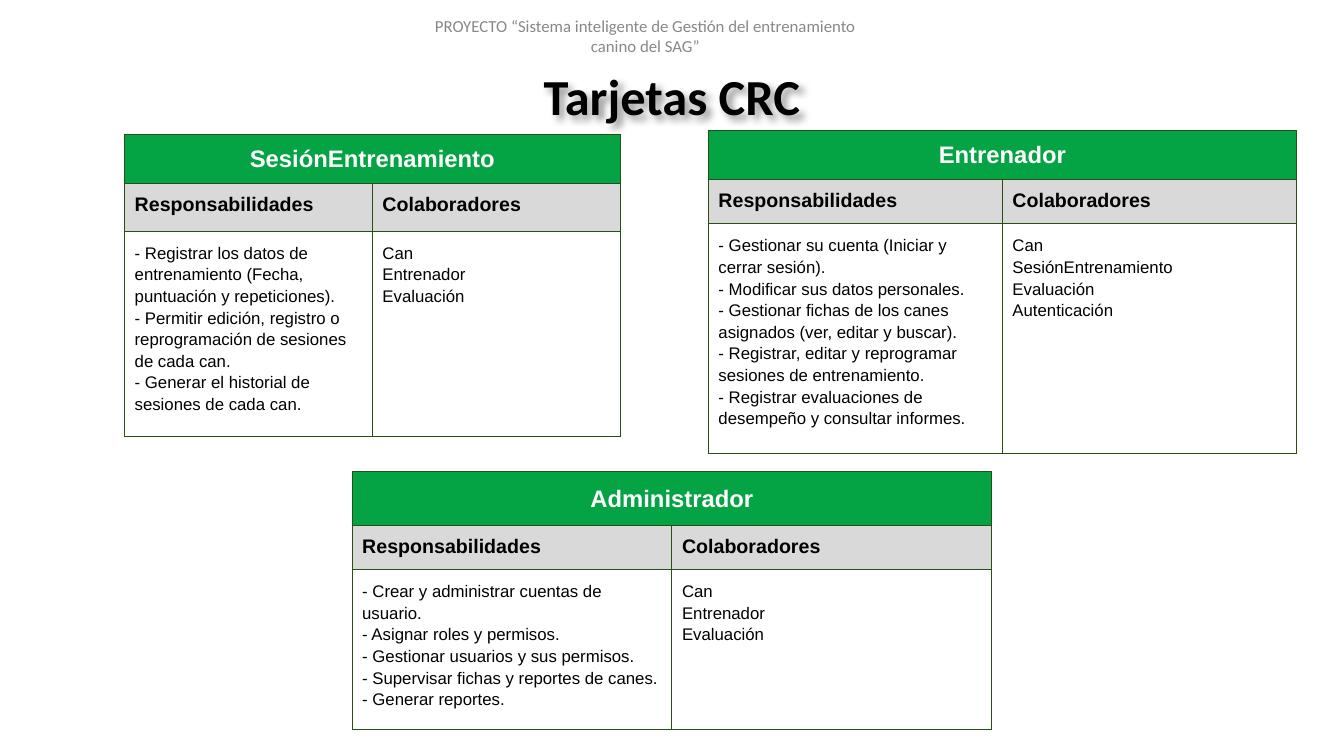
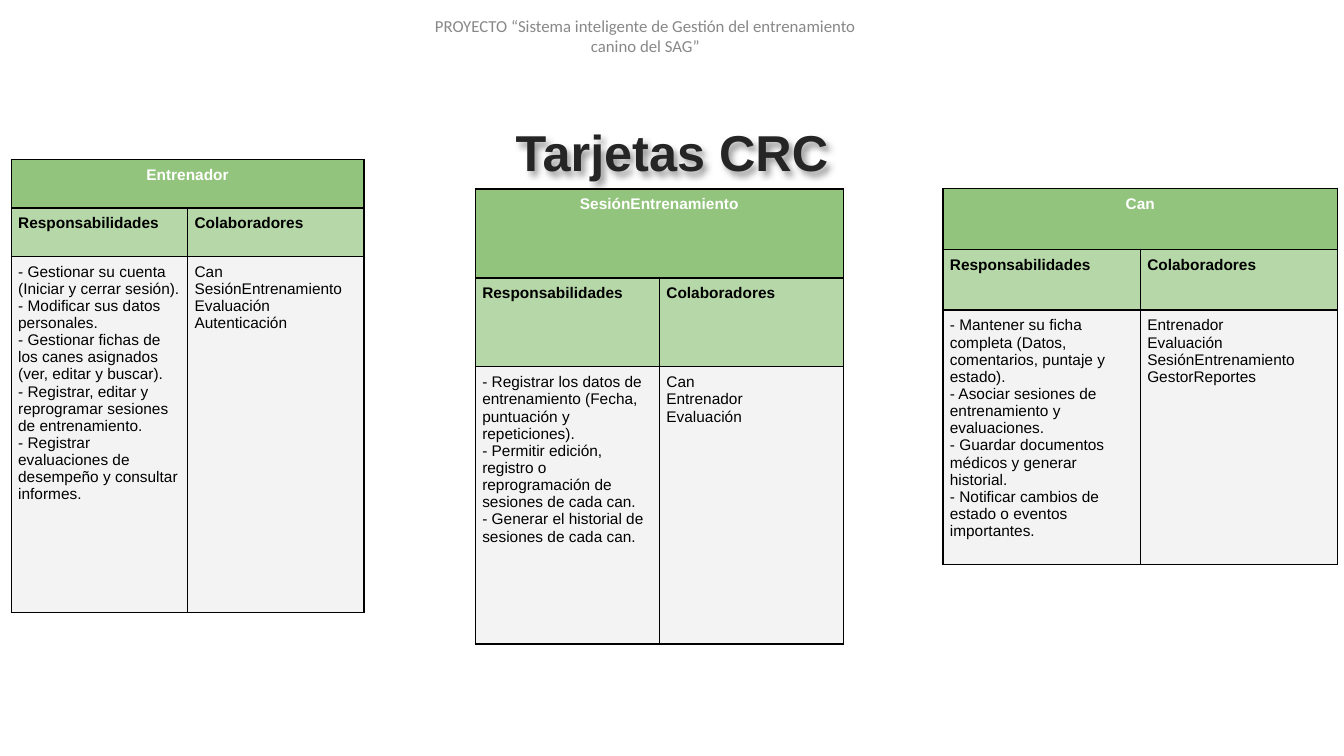
from pptx import Presentation
from pptx.dml.color import RGBColor
from pptx.enum import text
from pptx.oxml import parse_xml
from pptx.oxml.ns import nsdecls
from pptx.util import Pt

SLIDE_WIDTH, SLIDE_HEIGHT = 960, 540
PROJECT = "PROYECTO “Sistema inteligente de Gestión del entrenamiento canino del SAG”"
TITLE = "Tarjetas CRC"
COLUMN_HEADS = ("Responsabilidades", "Colaboradores")

SESSION = (
    "SesiónEntrenamiento",
    ["- Registrar los datos de entrenamiento (Fecha, puntuación y repeticiones).",
     "- Permitir edición, registro o reprogramación de sesiones de cada can.",
     "- Generar el historial de sesiones de cada can."],
    ["Can", "Entrenador", "Evaluación"],
)
TRAINER = (
    "Entrenador",
    ["- Gestionar su cuenta (Iniciar y cerrar sesión).",
     "- Modificar sus datos personales.",
     "- Gestionar fichas de los canes asignados (ver, editar y buscar).",
     "- Registrar, editar y reprogramar sesiones de entrenamiento.",
     "- Registrar evaluaciones de desempeño y consultar informes."],
    ["Can", "SesiónEntrenamiento", "Evaluación", "Autenticación"],
)
ADMINISTRATOR = (
    "Administrador",
    ["- Crear y administrar cuentas de usuario.",
     "- Asignar roles y permisos.",
     "- Gestionar usuarios y sus permisos.",
     "- Supervisar fichas y reportes de canes.",
     "- Generar reportes."],
    ["Can", "Entrenador", "Evaluación"],
)
DOG = (
    "Can",
    ["- Mantener su ficha completa (Datos, comentarios, puntaje y estado).",
     "- Asociar sesiones de entrenamiento y evaluaciones.",
     "- Guardar documentos médicos y generar historial.",
     "- Notificar cambios de estado o eventos importantes."],
    ["Entrenador", "Evaluación", "SesiónEntrenamiento", "GestorReportes"],
)

# Fills and sizes run from the name row to the column heads and the body.
STRONG = dict(fills=("04A444", "D9D9D9", None), sizes=(17, 14, 12), border="274E13",
              border_width=0.75, inset=7.2, spacing=1.15, name_anchor=text.MSO_ANCHOR.MIDDLE)
SOFT = dict(fills=("93C47D", "B6D7A8", "F3F3F3"), sizes=(11, 11, 11), border="000000",
            border_width=1, inset=5, spacing=1, name_anchor=text.MSO_ANCHOR.TOP)

# Each card: content, left, top, width, row heights.
SLIDES = [
    dict(title=dict(top=43, height=51, font="Calibri", color="000000", spacing=1,
                    anchor=text.MSO_ANCHOR.TOP),
         style=STRONG,
         cards=[(SESSION, 89, 96, 354, (35, 34, 146)),
                (TRAINER, 506, 93.5, 420, (35, 31, 164.5)),
                (ADMINISTRATOR, 251.5, 337, 457, (38.5, 31, 114))]),
    dict(title=dict(top=57, height=98.5, font="Arial", color="252525", spacing=1.09,
                    anchor=text.MSO_ANCHOR.MIDDLE),
         style=SOFT,
         cards=[(TRAINER, 8, 114, 252, (34.5, 34.5, 254.5)),
                (DOG, 673.5, 134.5, 282, (43.5, 43.5, 169)),
                (SESSION, 339.5, 135, 263, (63.5, 63.5, 198))]),
]


def rgb(color):
    return RGBColor.from_string(color)


def place(shape, left, top, width, height):
    shape.left, shape.top, shape.width, shape.height = map(Pt, (left, top, width, height))


def format_paragraphs(frame, font, size, color, bold=False, centred=False, spacing=1):
    for paragraph in frame.paragraphs:
        paragraph.alignment = text.PP_ALIGN.CENTER if centred else text.PP_ALIGN.LEFT
        paragraph.line_spacing = spacing
        paragraph.font.name = font
        paragraph.font.size = Pt(size)
        paragraph.font.bold = bold
        paragraph.font.color.rgb = rgb(color)


def add_title(slide, top, height, font, color, spacing, anchor):
    title = slide.shapes.title
    place(title, 0, top, SLIDE_WIDTH, height)
    frame = title.text_frame
    frame.text = TITLE
    frame.auto_size = text.MSO_AUTO_SIZE.NONE
    frame.vertical_anchor = anchor
    format_paragraphs(frame, font, 36, color, bold=True, centred=True, spacing=spacing)
    title._element.spPr.append(parse_xml(
        f'<a:effectLst {nsdecls("a")}><a:outerShdw blurRad="50800" dist="38100" dir="2700000">'
        '<a:srgbClr val="000000"><a:alpha val="40000"/></a:srgbClr>'
        '</a:outerShdw></a:effectLst>'))


def add_project_header(slide):
    header = slide.shapes.add_textbox(Pt(299), Pt(13.5), Pt(324), Pt(24.5))
    frame = header.text_frame
    frame.word_wrap = True
    frame.vertical_anchor = text.MSO_ANCHOR.MIDDLE
    frame.text = PROJECT
    format_paragraphs(frame, "Calibri", 12, "888888", centred=True)


def format_cell(cell, row, style):
    properties = cell._tc.get_or_add_tcPr()
    for side in ("lnL", "lnR", "lnT", "lnB"):
        properties.append(parse_xml(
            f'<a:{side} {nsdecls("a")} w="{Pt(style["border_width"])}"><a:solidFill>'
            f'<a:srgbClr val="{style["border"]}"/></a:solidFill></a:{side}>'))
    if style["fills"][row]:
        cell.fill.solid()
        cell.fill.fore_color.rgb = rgb(style["fills"][row])
    else:
        cell.fill.background()
    inset = Pt(style["inset"])
    cell.margin_left = cell.margin_right = cell.margin_top = cell.margin_bottom = inset
    is_name, is_body = row == 0, row == 2
    cell.vertical_anchor = style["name_anchor"] if is_name else text.MSO_ANCHOR.TOP
    format_paragraphs(cell.text_frame, "Arial", style["sizes"][row],
                      "FFFFFF" if is_name else "000000", bold=not is_body,
                      centred=is_name, spacing=style["spacing"] if is_body else 1)


def add_card(slide, style, content, left, top, width, row_heights):
    name, responsibilities, collaborators = content
    rows = [(name, ""), COLUMN_HEADS, ("\n".join(responsibilities), "\n".join(collaborators))]
    table = slide.shapes.add_table(3, 2, Pt(left), Pt(top), Pt(width),
                                   Pt(sum(row_heights))).table
    table.first_row = table.horz_banding = False
    table.cell(0, 0).merge(table.cell(0, 1))
    for row, (height, texts) in enumerate(zip(row_heights, rows)):
        table.rows[row].height = Pt(height)
        for column, words in enumerate(texts):
            cell = table.cell(row, column)
            cell.text = words
            format_cell(cell, row, style)


def main():
    presentation = Presentation()
    presentation.slide_width, presentation.slide_height = Pt(SLIDE_WIDTH), Pt(SLIDE_HEIGHT)
    title_only = presentation.slide_layouts[5]
    for content in SLIDES:
        slide = presentation.slides.add_slide(title_only)
        add_title(slide, **content["title"])
        add_project_header(slide)
        for card in content["cards"]:
            add_card(slide, content["style"], *card)
    presentation.save("out.pptx")


if __name__ == "__main__":
    main()
